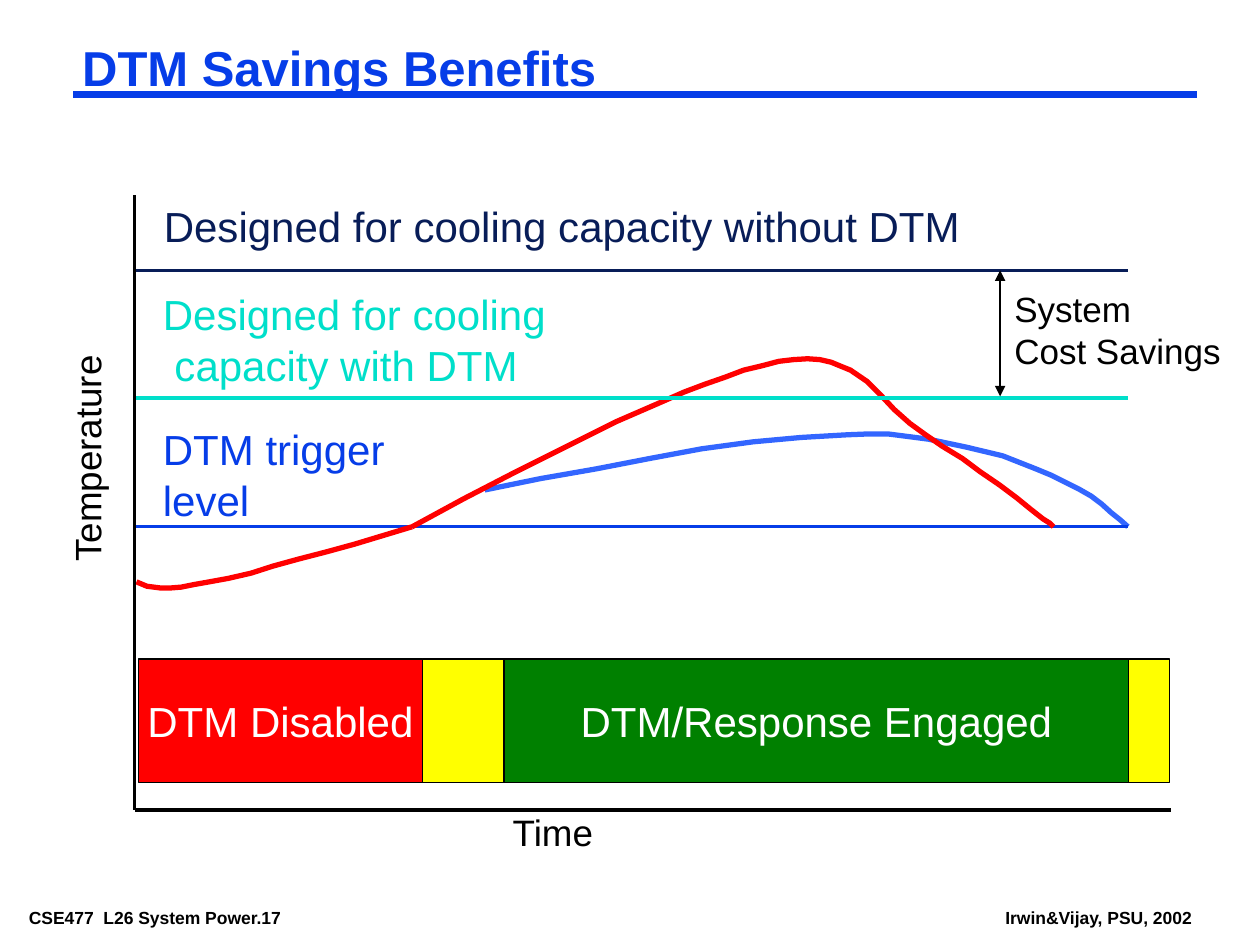
"""Build the slide on the cooling cost savings of dynamic thermal management."""
from itertools import pairwise

from lxml import etree
from pptx import Presentation
from pptx.dml.color import RGBColor
from pptx.enum.shapes import MSO_CONNECTOR, MSO_SHAPE
from pptx.enum.text import MSO_ANCHOR, PP_ALIGN
from pptx.oxml.ns import qn
from pptx.util import Pt

STRAIGHT = MSO_CONNECTOR.STRAIGHT
RECTANGLE = MSO_SHAPE.RECTANGLE
TOP, MIDDLE = MSO_ANCHOR.TOP, MSO_ANCHOR.MIDDLE
LEFT, CENTER = PP_ALIGN.LEFT, PP_ALIGN.CENTER

FONT = "Arial"
BLACK, WHITE = "000000", "FFFFFF"
BLUE, LIGHT_BLUE, NAVY, TEAL = "063DE8", "3366FF", "081D58", "00DFCA"
RED, YELLOW, GREEN = "FF0000", "FFFF00", "008000"

AXIS_X, AXIS_Y = 77, 463
LEVEL_LEFT, LEVEL_RIGHT = 78, 644.5
WITHOUT_DTM_Y, WITH_DTM_Y, TRIGGER_Y = 154.5, 227.5, 301
BAR_TOP, BAR_HEIGHT = 376.5, 70.5
BAR_EDGES = [79, 241.5, 288, 645, 668.5]
BARS = [
    (RED, "DTM Disabled"),
    (YELLOW, ""),
    (GREEN, "DTM/Response Engaged"),
    (YELLOW, ""),
]

MANAGED_CURVE = [
    (277, 280), (309, 273.5), (340.5, 268), (371.5, 262), (401, 256.5),
    (430.5, 252.5), (458, 250), (484, 248.5), (496, 248), (507.5, 248),
    (519, 249.5), (530.5, 251), (552, 255.5), (573, 260.5), (592, 268),
    (600.5, 271.5), (608.5, 275.5), (616.5, 279.5), (623.5, 283.5),
    (629.5, 288), (635, 293), (640, 297), (644.5, 301),
]
WARM_UP_CURVE = [
    (235.5, 301), (202.5, 311), (186, 315.5), (170.5, 319.5), (156, 323.5),
    (143.5, 327.5), (130.5, 330.5), (119.5, 332.5), (111, 334),
    (103.5, 335.5), (97, 336), (92, 336), (88, 335.5), (84, 335), (78, 332.5),
]
PEAK_CURVE = [
    (235.5, 301), (265, 285), (295, 269.5), (324, 255), (352, 241),
    (378.5, 229.5), (391, 224), (403, 219.5), (414.5, 215.5), (425, 211.5),
    (435.5, 209), (445, 206.5), (453.5, 205.5), (461.5, 205), (468.5, 205.5),
    (475, 207), (481, 209.5), (486, 211.5), (495.5, 218), (503.5, 226),
    (511, 234), (520, 242), (529, 248.5), (538.5, 255), (550, 262),
    (560, 269.5), (571, 277), (581, 284.5), (589, 291), (596, 296.5),
    (600, 299), (602, 301),
]


def color(hex_string):
    """Turn a hex string into a colour."""
    return RGBColor.from_string(hex_string)


def write_text(shape, lines, size, text_color, bold=False, align=LEFT,
               anchor=TOP, margins=(7.2, 3.6), wrap=False):
    """Write one paragraph per line into a shape."""
    frame = shape.text_frame
    frame.word_wrap = wrap
    frame.vertical_anchor = anchor
    frame.margin_left = frame.margin_right = Pt(margins[0])
    frame.margin_top = frame.margin_bottom = Pt(margins[1])
    for index, line in enumerate(lines):
        paragraph = frame.add_paragraph() if index else frame.paragraphs[0]
        paragraph.alignment = align
        run = paragraph.add_run()
        run.text = line
        run.font.name = FONT
        run.font.size = Pt(size)
        run.font.bold = bold
        run.font.color.rgb = color(text_color)


def add_label(slide, box, lines, size, text_color, rotation=0, **options):
    """Add a text box at left, top, width and height."""
    shape = slide.shapes.add_textbox(*map(Pt, box))
    shape.rotation = rotation
    write_text(shape, lines, size, text_color, **options)


def add_title(slide, text):
    """Place and fill the title placeholder."""
    title = slide.shapes.title
    title.left, title.top, title.width, title.height = map(Pt, (42, 24, 642, 33))
    write_text(title, [text], 28, BLUE, bold=True, margins=(5, 2.2), wrap=True)
    title.text_frame.paragraphs[0].line_spacing = 0.87


def add_line(slide, start, end, line_color, width, arrows=False):
    """Add a straight line, with arrowheads at both ends if asked."""
    connector = slide.shapes.add_connector(STRAIGHT, *map(Pt, start + end))
    connector.line.color.rgb = color(line_color)
    connector.line.width = Pt(width)
    properties = connector._element.spPr
    if arrows:
        outline = properties.find(qn("a:ln"))
        for tag in ("a:headEnd", "a:tailEnd"):
            etree.SubElement(outline, qn(tag), type="triangle")
    etree.SubElement(properties, qn("a:effectLst"))


def add_curve(slide, points, line_color):
    """Add an open temperature curve through the points."""
    start, *rest = [(Pt(x), Pt(y)) for x, y in points]
    builder = slide.shapes.build_freeform(*start)
    builder.add_line_segments(rest, close=False)
    shape = builder.convert_to_shape()
    shape.shadow.inherit = False
    shape.fill.background()
    shape.line.color.rgb = color(line_color)
    shape.line.width = Pt(3)


def add_bar(slide, left, right, fill_color, text):
    """Add one phase of the time bar."""
    shape = slide.shapes.add_shape(
        RECTANGLE, Pt(left), Pt(BAR_TOP), Pt(right - left), Pt(BAR_HEIGHT))
    shape.shadow.inherit = False
    shape.fill.solid()
    shape.fill.fore_color.rgb = color(fill_color)
    shape.line.color.rgb = color(BLACK)
    shape.line.width = Pt(0.75)
    if text:
        write_text(shape, [text], 24, WHITE, align=CENTER, anchor=MIDDLE)


def add_level(slide, y, level_color, box, lines):
    """Add a horizontal temperature level with its label."""
    add_line(slide, (LEVEL_LEFT, y), (LEVEL_RIGHT, y), level_color, 2)
    add_label(slide, box, lines, 24, level_color)


def main():
    """Build and save the presentation."""
    presentation = Presentation()
    presentation.slide_width, presentation.slide_height = Pt(720), Pt(540)
    slide = presentation.slides.add_slide(presentation.slide_layouts[5])

    footers = [((11.5, 516, 191.5, 16), "CSE477  L26 System Power.17"),
               ((569.5, 516, 117.5, 16), "Irwin&Vijay, PSU, 2002")]
    for box, text in footers:
        add_label(slide, box, [text], 10, BLACK, bold=True, margins=(5, 2.2))
    add_line(slide, (42, 54), (684, 54), BLUE, 4.5)
    add_title(slide, "DTM Savings Benefits")

    add_label(slide, (293, 463, 47, 25), ["Time"], 21, BLACK, margins=(0, 0))
    add_label(slide, (-10.5, 248.5, 120, 25), ["Temperature"], 21, BLACK,
              rotation=270, margins=(0, 0))

    add_curve(slide, MANAGED_CURVE, LIGHT_BLUE)
    for (left, right), (fill_color, text) in zip(pairwise(BAR_EDGES), BARS):
        add_bar(slide, left, right, fill_color, text)

    add_level(slide, WITHOUT_DTM_Y, NAVY, (86.5, 111, 469.5, 36),
              ["Designed for cooling capacity without DTM"])
    add_level(slide, TRIGGER_Y, BLUE, (86, 238.5, 141, 65),
              ["DTM trigger", "level"])
    add_curve(slide, PEAK_CURVE, RED)
    add_curve(slide, WARM_UP_CURVE, RED)
    add_line(slide, (AXIS_X, 111.5), (AXIS_X, AXIS_Y), BLACK, 2)
    add_line(slide, (669, AXIS_Y), (AXIS_X, AXIS_Y), BLACK, 2)
    add_level(slide, WITH_DTM_Y, TEAL, (86, 161.5, 233, 65),
              ["Designed for cooling", " capacity with DTM"])

    add_line(slide, (571.5, WITHOUT_DTM_Y), (571.5, WITH_DTM_Y - 1), BLACK, 1.5,
             arrows=True)
    add_label(slide, (572.5, 160.5, 132.5, 55.5), ["System", "Cost Savings"],
              20, BLACK)
    presentation.save("out.pptx")


if __name__ == "__main__":
    main()
